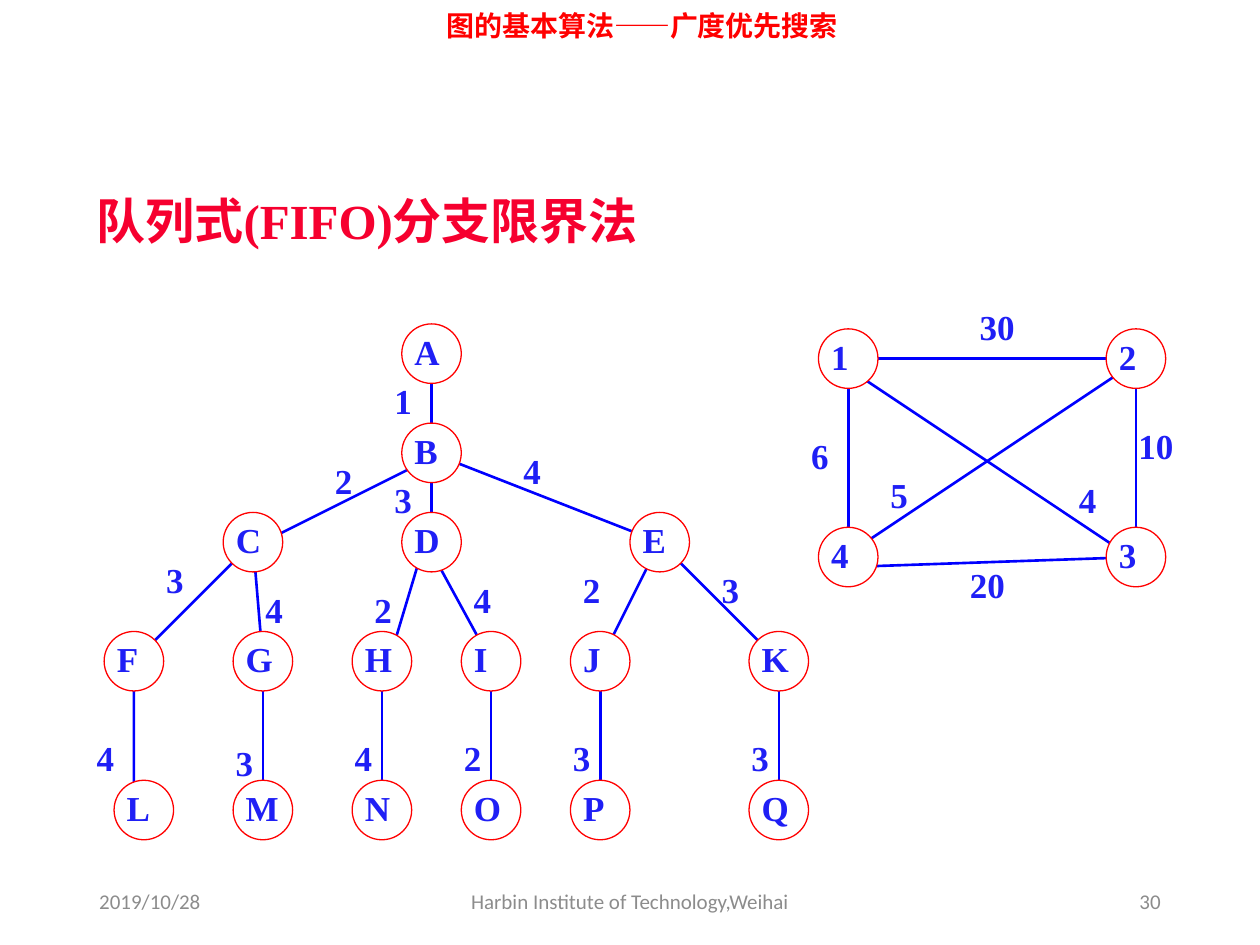
import pptx
import pptx.dml.color
import pptx.enum.shapes
import pptx.enum.text
import pptx.util
from lxml import etree
from pptx.util import Cm, Pt

PP_ALIGN = pptx.enum.text.PP_ALIGN
ANCHOR = pptx.enum.text.MSO_ANCHOR
DRAWING_NS = "{http://schemas.openxmlformats.org/drawingml/2006/main}"
CJK_FONT = "Noto Sans CJK SC"
DIAMETER = 1.2


def rgb(value):
    return pptx.dml.color.RGBColor.from_string(value)


def write(frame, text, size, color, font="Times New Roman", bold=True,
          align=PP_ALIGN.LEFT, anchor=ANCHOR.TOP, wrap=True):
    """Fill a text frame with one uniformly formatted paragraph."""
    frame.text = text
    frame.word_wrap = wrap
    frame.auto_size = pptx.enum.text.MSO_AUTO_SIZE.NONE
    frame.vertical_anchor = anchor
    paragraph = frame.paragraphs[0]
    paragraph.alignment = align
    for run in paragraph.runs:
        run.font.size = Pt(size)
        run.font.bold = bold
        run.font.name = font
        run.font.color.rgb = rgb(color)
        latin = run.font._element.find(DRAWING_NS + "latin")
        east_asian = etree.Element(DRAWING_NS + "ea", typeface=CJK_FONT)
        latin.addnext(east_asian)


presentation = pptx.Presentation()
presentation.slide_width = Cm(25.4)
presentation.slide_height = Cm(19.05)
slide = presentation.slides.add_slide(presentation.slide_layouts[5])
shapes = slide.shapes

title = shapes.title
title.left, title.top, title.width, title.height = Cm(0.9), Cm(3.53), Cm(20.2), Cm(1.8)
write(title.text_frame, "队列式(FIFO)分支限界法", 28, "F6002F")
title.text_frame.margin_left = Cm(1.05)
title.text_frame.margin_top = Cm(0.53)
title.text_frame.paragraphs[0].line_spacing = 0.8

chapter = shapes.add_textbox(Cm(3.45), Cm(0.05), Cm(19), Cm(1.4))
write(chapter.text_frame, "图的基本算法——广度优先搜索", 16, "FF0000",
      font=CJK_FONT, align=PP_ALIGN.CENTER, wrap=False)

# Node rows: centre height, then the centre of each node from the left (cm)
rows = [
    (7.13, {"A": 8.7}),
    (9.13, {"B": 8.7}),
    (10.93, {"C": 5.1, "D": 8.7, "E": 13.3}),
    (13.33, {"F": 2.7, "G": 5.3, "H": 7.7, "I": 9.9, "J": 12.1, "K": 15.7}),
    (16.33, {"L": 2.9, "M": 5.3, "N": 7.7, "O": 9.9, "P": 12.1, "Q": 15.7}),
    (7.23, {"1": 17.1, "2": 22.9}),
    (11.23, {"4": 17.1, "3": 22.9}),
]
centres = {name: (x, y) for y, row in rows for name, x in row.items()}

# Ends, weight, label left, top and width, shift of each end from its centre
MIDDLE = (0, 0)
edges = [
    ("AB", "1", 7.7, 7.53, 1.2, (0, 0.4), (0, 0.2)),
    ("BC", "2", 6.5, 9.13, 1.2, (-0.2, 0.2), (0.2, 0)),
    ("BD", "3", 7.7, 9.53, 1, (0, 0.4), MIDDLE),
    ("BE", "4", 10.3, 8.93, 1, MIDDLE, MIDDLE),
    ("CF", "3", 3.1, 11.13, 0.8, MIDDLE, MIDDLE),
    ("CG", "4", 5.1, 11.73, 0.8, MIDDLE, MIDDLE),
    ("DH", "2", 7.3, 11.73, 0.8, (-0.2, 0.2), (0.2, -0.2)),
    ("DI", "4", 9.3, 11.53, 0.8, (0, 0.2), MIDDLE),
    ("EJ", "2", 11.5, 11.33, 1.2, MIDDLE, MIDDLE),
    ("EK", "3", 14.3, 11.33, 1.2, MIDDLE, MIDDLE),
    ("FL", "4", 1.7, 14.73, 1.2, MIDDLE, (-0.2, 0)),
    ("GM", "3", 4.5, 14.83, 1.2, MIDDLE, MIDDLE),
    ("HN", "4", 6.9, 14.73, 1.2, MIDDLE, MIDDLE),
    ("IO", "2", 9.1, 14.73, 1.2, MIDDLE, MIDDLE),
    ("JP", "3", 11.3, 14.73, 1.2, MIDDLE, MIDDLE),
    ("KQ", "3", 14.9, 14.73, 1, MIDDLE, MIDDLE),
    ("12", "30", 19.5, 6.03, 1.8, MIDDLE, (-0.2, 0)),
    ("13", "4", 21.5, 9.53, 1.2, (0, 0.2), (0.2, 0.2)),
    ("14", "6", 16.1, 8.63, 1.2, (0, 0.2), MIDDLE),
    ("23", "10", 22.7, 8.43, 1.4, (0, -0.2), (0, -0.4)),
    ("24", "5", 17.7, 9.43, 1.4, (-0.2, 0.2), (0.2, -0.2)),
    ("34", "20", 19.3, 11.23, 1.8, MIDDLE, (0, 0.2)),
]

for ends, _, _, _, _, *shifts in edges:
    points = [Cm(centre + offset)
              for name, shift in zip(ends, shifts)
              for centre, offset in zip(centres[name], shift)]
    edge = shapes.add_connector(pptx.enum.shapes.MSO_CONNECTOR.STRAIGHT, *points)
    edge.line.color.rgb = rgb("0000FF")
    edge.line.width = Pt(1.5)
    etree.SubElement(edge._element.spPr, DRAWING_NS + "effectLst")

for name, (x, y) in centres.items():
    node = shapes.add_shape(pptx.enum.shapes.MSO_SHAPE.OVAL,
                            Cm(x - DIAMETER / 2), Cm(y - DIAMETER / 2),
                            Cm(DIAMETER), Cm(DIAMETER))
    node.shadow.inherit = False
    node.fill.solid()
    node.fill.fore_color.rgb = rgb("FFFFFF")
    node.line.color.rgb = rgb("FF0000")
    node.line.width = Pt(0.75)
    frame = node.text_frame
    frame.margin_left, frame.margin_bottom = Cm(0.08), Cm(0.1)
    frame.margin_right = frame.margin_top = 0
    write(frame, name, 20, "1F1FF5", anchor=ANCHOR.MIDDLE)

for _, weight, left, top, width, _, _ in edges:
    label = shapes.add_textbox(Cm(left), Cm(top), Cm(width), Cm(1.1))
    write(label.text_frame, weight, 20, "1F1FF5")

footers = [
    ("2019/10/28", 1.75, 5.7, PP_ALIGN.LEFT),
    ("Harbin Institute of Technology,Weihai", 8.4, 8.6, PP_ALIGN.CENTER),
    ("30", 17.93, 5.72, PP_ALIGN.RIGHT),
]
for text, left, width, align in footers:
    footer = shapes.add_textbox(Cm(left), Cm(17.65), Cm(width), Cm(1.02))
    write(footer.text_frame, text, 12, "8C8C8C", font="Calibri", bold=False,
          align=align, anchor=ANCHOR.MIDDLE)

presentation.save("out.pptx")
